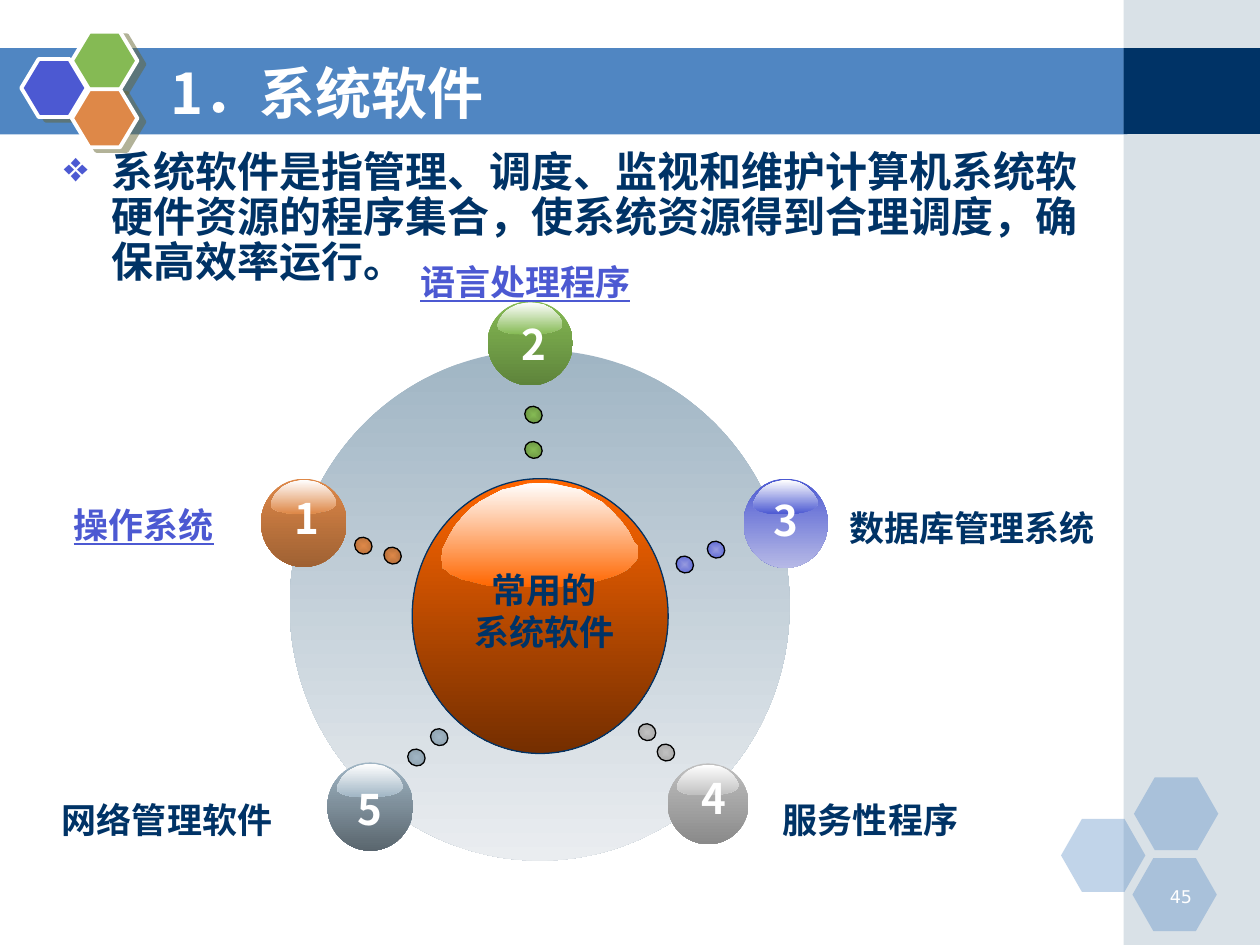
from dataclasses import dataclass

from lxml import etree
from pptx import Presentation
from pptx.dml.color import RGBColor
from pptx.enum import shapes, text
from pptx.oxml.ns import qn
from pptx.util import Cm, Pt

WHITE = RGBColor(0xFF, 0xFF, 0xFF)
BLACK = RGBColor(0, 0, 0)
NAVY = RGBColor(0x00, 0x33, 0x66)
BAND_BLUE = RGBColor(0x50, 0x86, 0xC2)
STEEL = RGBColor(0xA0, 0xB5, 0xC4)
INDIGO = RGBColor(0x4C, 0x59, 0xD2)
GREEN = RGBColor(0x85, 0xBA, 0x54)
COPPER = RGBColor(0xDE, 0x88, 0x48)
SILVER = RGBColor(0xC0, 0xC0, 0xC0)
FLAME = RGBColor(0xFF, 0x66, 0x00)
RUST = RGBColor(0x74, 0x2E, 0x00)
OLIVE = RGBColor(0x66, 0x66, 0x33)

CJK = "Noto Sans CJK SC"
OVAL = shapes.MSO_SHAPE.OVAL
RECT = shapes.MSO_SHAPE.RECTANGLE
HEXAGON = shapes.MSO_SHAPE.HEXAGON
CENTER = text.PP_ALIGN.CENTER

# Outline of a glass highlight, in percent of its box
GLOSS = [
    (98, 57), (100, 61), (100, 67), (100, 72), (98, 77), (96, 81), (94, 84),
    (90, 88), (87, 90), (82, 93), (78, 95), (73, 96), (68, 99), (62, 99),
    (60, 100), (36, 100), (31, 99), (26, 99), (22, 98), (18, 96), (14, 94),
    (11, 93), (8, 90), (5, 88), (3, 84), (1, 82), (1, 77), (0, 73), (1, 67),
    (1, 63), (4, 52), (7, 42), (11, 33), (15, 25), (20, 18), (26, 12), (31, 7),
    (38, 4), (44, 1), (50, 0), (57, 1), (64, 4), (71, 7), (76, 13), (82, 19),
    (87, 28), (91, 36), (95, 46),
]


@dataclass
class Box:
    """A rectangle in centimetres."""
    x: float
    y: float
    w: float
    h: float

    def at(self, dx, dy, w, h):
        return Box(self.x + dx, self.y + dy, w, h)

    def emu(self):
        return Cm(self.x), Cm(self.y), Cm(self.w), Cm(self.h)


@dataclass
class Topic:
    number: str
    label: str
    color: RGBColor
    ball: tuple
    digit: tuple        # offset from the ball
    label_at: tuple     # left, top, width
    dots: list
    ball_end: tuple     # colour transform of the lower gradient stop
    dot_ends: list      # transforms of inner and outer stop, per dot
    linked: bool = False


TOPICS = [
    Topic("1", "操作系统", COPPER, (-0.58, 2.59, 1.73, 1.78), (0.43, 0.15),
          (-5.33, 2.97, 4.78), [(1.32, 3.76), (1.91, 3.96)], ("shade", 47),
          [(None, ("shade", 59)), (None, ("shade", 50))], True),
    Topic("2", "语言处理程序", GREEN, (3.99, -0.99, 1.72, 1.7), (0.43, 0.23),
          (1.65, -1.93, 6.2), [(4.75, 1.12), (4.75, 1.83)], ("shade", 46),
          [(None, ("shade", 48)), (None, ("shade", 51))], True),
    Topic("3", "数据库管理系统", INDIGO, (9.15, 2.59, 1.7, 1.8), (0.36, 0.2),
          (10.85, 3.02, 5.82), [(8.43, 3.84), (7.8, 4.14)], ("tint", 57),
          [(("tint", 75), None)] * 2),
    Topic("4", "服务性程序", SILVER, (7.62, 8.33, 1.63, 1.63), (0.43, 0.05),
          (9.32, 8.92, 4.78), [(7.42, 7.93), (7.04, 7.52)], ("shade", 47),
          [(None, ("shade", 68))] * 2),
    Topic("5", "网络管理软件", STEEL, (0.76, 8.31, 1.73, 1.78), (0.36, 0.3),
          (-5.33, 8.92, 5.72), [(2.39, 8.03), (2.85, 7.62)], ("shade", 27),
          [(None, ("shade", 68))] * 2),
]


def child(parent, tag, **attributes):
    return etree.SubElement(parent, qn(tag), {k: str(v) for k, v in attributes.items()})


def paint(shape, color, alpha=None, line=None, width=0.75):
    shape.shadow.inherit = False
    if color is not None:
        shape.fill.solid()
        shape.fill.fore_color.rgb = color
    if alpha is not None:
        child(shape._element.spPr.find(".//" + qn("a:srgbClr")), "a:alpha", val=alpha * 1000)
    if line is None:
        shape.line.fill.background()
    else:
        shape.line.color.rgb = line
        shape.line.width = Pt(width)


def blend(shape, colors, changes=(None, None), radial=False):
    """Two-stop gradient, downwards or from the centre, with optional tint or shade."""
    shape.fill.gradient()
    shape.fill.gradient_angle = 270
    gradient = shape._element.spPr.find(qn("a:gradFill"))
    for stop, position, color, change in zip(shape.fill.gradient_stops, (0, 1), colors, changes):
        stop.color.rgb = color
        stop.position = position
        if change:
            mark = gradient.findall(".//" + qn("a:srgbClr"))[position]
            child(mark, "a:" + change[0], val=change[1] * 1000)
    if radial:
        gradient.remove(gradient.find(qn("a:lin")))
        path = child(gradient, "a:path", path="shape")
        child(path, "a:fillToRect", l=50000, t=50000, r=50000, b=50000)


def add_shape(slide, kind, box, color=None, **style):
    shape = slide.shapes.add_shape(kind, *box.emu())
    paint(shape, color, **style)
    return shape


def write(frame, content, size=20, color=NAVY, bold=True, underline=None, align=None,
          wrap=True, grow=True, font=CJK):
    frame.word_wrap = wrap
    frame.auto_size = text.MSO_AUTO_SIZE.SHAPE_TO_FIT_TEXT if grow else text.MSO_AUTO_SIZE.NONE
    frame.text = content
    for paragraph in frame.paragraphs:
        paragraph.alignment = align
        for run in paragraph.runs:
            run.font.size, run.font.bold, run.font.underline = Pt(size), bold, underline
            run.font.color.rgb = color
            run.font.name = font
            child(run._r.get_or_add_rPr(), "a:ea", typeface=font)


def add_text(slide, box, content, **style):
    frame = slide.shapes.add_textbox(*box.emu()).text_frame
    write(frame, content, **style)
    return frame


def add_gloss(slide, box, color):
    points = [(Cm(box.x + box.w * x / 100), Cm(box.y + box.h * y / 100)) for x, y in GLOSS]
    builder = slide.shapes.build_freeform(*points[0])
    builder.add_line_segments(points[1:], close=True)
    gloss = builder.convert_to_shape()
    paint(gloss, None)
    blend(gloss, (WHITE, color))


def add_hexagons(slide, box, size, places, colors, adj, shadow=False, **style):
    for (dx, dy), color in zip(places, colors):
        hexagon = add_shape(slide, HEXAGON, box.at(dx, dy, *size), color, **style)
        hexagon.adjustments[0] = adj
        if shadow:
            effects = hexagon._element.spPr.find(qn("a:effectLst"))
            outer = child(effects, "a:outerShdw", blurRad=0, dist=Pt(4.5), dir=27 * 60000,
                          algn="ctr", rotWithShape=0)
            child(child(outer, "a:srgbClr", val=OLIVE), "a:alpha", val=50000)


def add_backdrop(slide, box):
    add_shape(slide, RECT, box.at(-0.03, 0.97, 22.76, 1.74), BAND_BLUE)
    add_shape(slide, RECT, box.at(22.65, 0, 2.75, box.h), STEEL, alpha=40)
    add_shape(slide, RECT, box.at(22.65, 0.97, 2.75, 1.73), NAVY)
    add_hexagons(slide, box.at(21.39, 15.67, 4, 3.1), (1.7, 1.47),
                 [(0, 0.84), (1.47, 0), (1.44, 1.63)], [BAND_BLUE] * 3, 0.286, alpha=35)
    add_hexagons(slide, box.at(0.43, 0.64, 2.34, 2.33), (1.32, 1.17),
                 [(0, 0.55), (1.02, 0), (1.02, 1.16)], [INDIGO, GREEN, COPPER], 0.3,
                 shadow=True, line=WHITE, width=2.25)
    add_text(slide, box.at(23.01, 17.73, 1.27, 0.64), "45", size=10, color=WHITE, bold=False,
             align=text.PP_ALIGN.RIGHT, grow=False, font="DejaVu Sans")


def place_title(slide, box):
    title = slide.shapes.title
    title.left, title.top, title.width, title.height = box.emu()
    write(title.text_frame, "1．系统软件", size=32, color=WHITE, grow=False,
          align=text.PP_ALIGN.LEFT)
    title.text_frame.vertical_anchor = text.MSO_ANCHOR.MIDDLE
    slide.shapes._spTree.append(title._element)  # in front of the band


def add_definition(slide, box):
    frame = add_text(
        slide, box, "系统软件是指管理、调度、监视和维护计算机系统软硬件资源的程序集合，"
        "使系统资源得到合理调度，确保高效率运行。", size=24, grow=False)
    paragraph = frame.paragraphs[0]
    paragraph.line_spacing = 0.9
    properties = paragraph._p.get_or_add_pPr()
    properties.set("marL", str(Cm(0.95)))
    properties.set("indent", str(-Cm(0.95)))
    child(child(properties, "a:buClr"), "a:srgbClr", val=INDIGO)
    child(properties, "a:buChar", char="❖")


def add_core(slide, box):
    core = add_shape(slide, OVAL, box, line=NAVY)
    blend(core, (FLAME, RUST))
    add_gloss(slide, box.at(0.58, 0.08, 3.97, 2.1), FLAME)
    add_text(slide, box.at(0.99, 1.68, 3.35, 1.96), "常用的\n系统软件", align=CENTER, wrap=False)


def add_topic(slide, wheel, topic):
    ball_box = wheel.at(*topic.ball)
    ball = add_shape(slide, OVAL, ball_box)
    blend(ball, (topic.color, topic.color), (None, topic.ball_end))
    w, h = ball_box.w, ball_box.h
    add_gloss(slide, ball_box.at(0.115 * w, 0.015 * h, 0.765 * w, 0.38 * h), topic.color)
    add_text(slide, ball_box.at(*topic.digit, 0.94, 1.27), topic.number, size=24, color=WHITE,
             align=CENTER, wrap=False)
    for place, ends in zip(topic.dots, topic.dot_ends):
        dot = add_shape(slide, OVAL, wheel.at(*place, 0.33, 0.36), line=BLACK)
        blend(dot, (topic.color, topic.color), ends, radial=True)
        dot.rotation = 303.8
    add_text(slide, wheel.at(*topic.label_at, 1.09), topic.label, align=CENTER,
             color=INDIGO if topic.linked else NAVY, underline=topic.linked or None)


def add_wheel(slide, box):
    disc = add_shape(slide, OVAL, box)
    blend(disc, (STEEL, STEEL), (None, ("tint", 27)))
    add_core(slide, box.at(2.47, 2.59, 5.16, 5.54))
    for topic in TOPICS:
        add_topic(slide, box, topic)


def main():
    deck = Presentation()
    deck.slide_width, deck.slide_height = Cm(25.4), Cm(19.05)
    slide = deck.slides.add_slide(deck.slide_layouts[5])
    add_backdrop(slide, Box(0, 0, 25.4, 19.05))
    add_definition(slide, Box(1.04, 2.92, 21.67, 3.33))
    add_wheel(slide, Box(5.84, 7.06, 10.08, 10.29))
    place_title(slide, Box(3.18, 1.07, 18.62, 1.57))
    deck.save("out.pptx")


if __name__ == "__main__":
    main()
